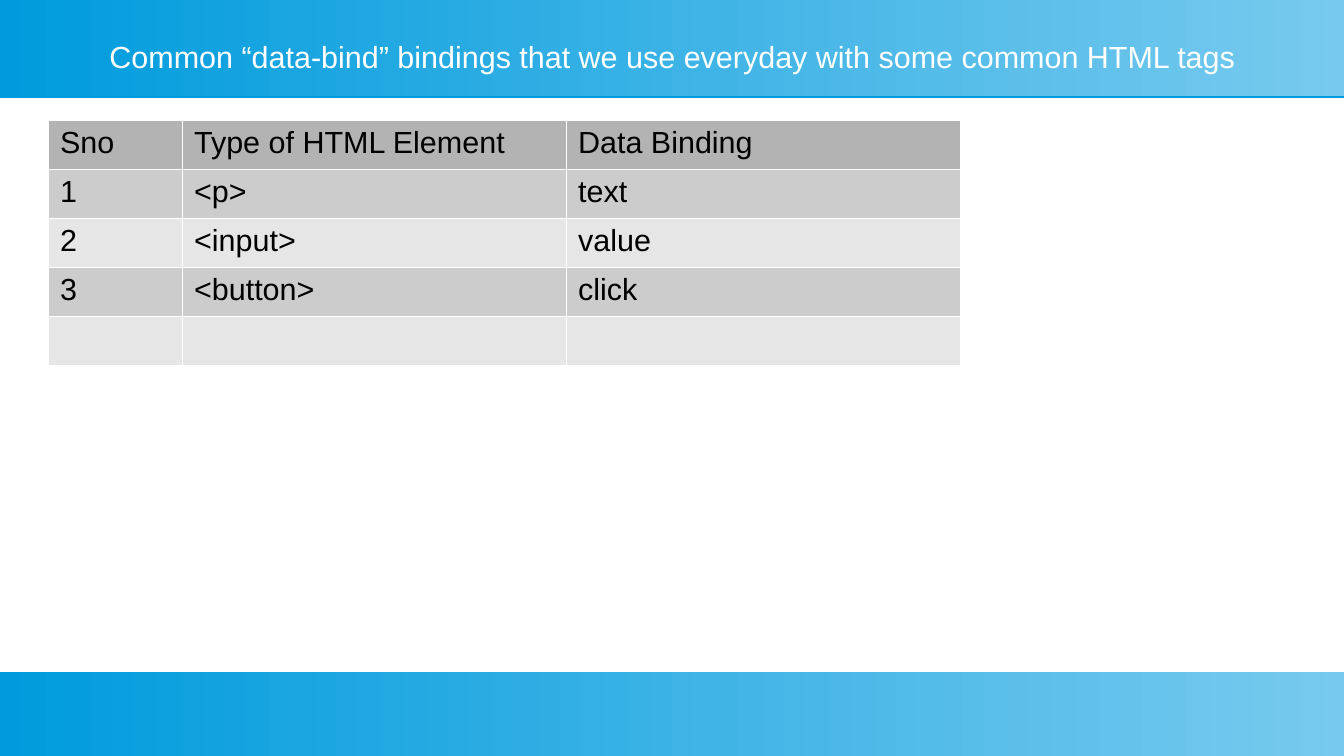
"""Build a slide with a table of common data-bind bindings."""
from dataclasses import dataclass

from lxml import etree
from pptx import Presentation, util as u
from pptx.dml.color import RGBColor
from pptx.enum import shapes, text
from pptx.oxml.ns import qn

TITLE = "Common “data-bind” bindings that we use everyday with some common HTML tags"
ROWS = [
    ("Sno", "Type of HTML Element", "Data Binding"),
    ("1", "<p>", "text"),
    ("2", "<input>", "value"),
    ("3", "<button>", "click"),
    ("", "", ""),
]
SLIDE_SIZE = (1344, 756)
BANDS = [(0, 96), (672, 84)]
TITLE_BOX = (48, 24, 1249, 64)
TABLE_ORIGIN = (48, 120)
COLUMN_WIDTHS = (134, 384, 394)
ROW_HEIGHT = 49


@dataclass(frozen=True)
class Theme:
    font: str = "Arial"
    size: int = 18
    white: str = "FFFFFF"
    black: str = "000000"
    band_start: str = "009BDD"
    band_end: str = "77CAEE"
    header: str = "B3B3B3"
    stripes: tuple = ("CCCCCC", "E6E6E6")


THEME = Theme()


def px(length):
    return u.Emu(round(length * 914400 / 122))


def write(frame, content, color=THEME.black, align=text.PP_ALIGN.LEFT):
    paragraph = frame.paragraphs[0]
    paragraph.alignment = align
    target = paragraph
    if content:
        target = paragraph.add_run()
        target.text = content
    target.font.name = THEME.font
    target.font.size = u.Pt(THEME.size)
    target.font.color.rgb = RGBColor.from_string(color)


def add_solid(parent, color):
    fill = etree.SubElement(parent, qn("a:solidFill"))
    etree.SubElement(fill, qn("a:srgbClr"), val=color)


def add_band(slide, top, height):
    band = slide.shapes.add_shape(
        shapes.MSO_SHAPE.RECTANGLE, 0, px(top), px(SLIDE_SIZE[0]), px(height))
    band.line.fill.background()
    band.fill.gradient()
    band.fill.gradient_angle = 0
    for stop, color in zip(band.fill.gradient_stops, (THEME.band_start, THEME.band_end)):
        stop.color.rgb = RGBColor.from_string(color)
    band.shadow.inherit = False
    effects = band.element.spPr.find(qn("a:effectLst"))
    shadow = etree.SubElement(effects, qn("a:outerShdw"), dist=str(u.Pt(0.9)), dir="5400000")
    etree.SubElement(shadow, qn("a:srgbClr"), val=THEME.band_start)
    slide.shapes.title.element.addprevious(band.element)


def format_title(title):
    title.left, title.top, title.width, title.height = map(px, TITLE_BOX)
    frame = title.text_frame
    frame.margin_left = frame.margin_top = frame.margin_right = frame.margin_bottom = 0
    frame.vertical_anchor = text.MSO_ANCHOR.MIDDLE
    frame.auto_size = text.MSO_AUTO_SIZE.NONE
    frame.word_wrap = True
    write(frame, TITLE, color=THEME.white, align=text.PP_ALIGN.CENTER)


def format_cell(cell, content, fill):
    write(cell.text_frame, content)
    properties = cell._tc.get_or_add_tcPr()
    for side in ("lnL", "lnR", "lnT", "lnB"):
        border = etree.SubElement(properties, qn(f"a:{side}"), w="720")
        add_solid(border, THEME.white)
    cell.fill.solid()
    cell.fill.fore_color.rgb = RGBColor.from_string(fill)


def add_bindings(slide):
    table = slide.shapes.add_table(
        len(ROWS), len(COLUMN_WIDTHS), *map(px, TABLE_ORIGIN),
        px(sum(COLUMN_WIDTHS)), px(ROW_HEIGHT * len(ROWS))).table
    for column, width in zip(table.columns, COLUMN_WIDTHS):
        column.width = px(width)
    for index, (row, values) in enumerate(zip(table.rows, ROWS)):
        row.height = px(ROW_HEIGHT)
        fill = THEME.stripes[(index - 1) % 2] if index else THEME.header
        for cell, value in zip(row.cells, values):
            format_cell(cell, value, fill)


def main():
    presentation = Presentation()
    presentation.slide_width, presentation.slide_height = map(px, SLIDE_SIZE)
    slide = presentation.slides.add_slide(presentation.slide_layouts[5])
    for top, height in BANDS:
        add_band(slide, top, height)
    format_title(slide.shapes.title)
    add_bindings(slide)
    presentation.save("out.pptx")


if __name__ == "__main__":
    main()
